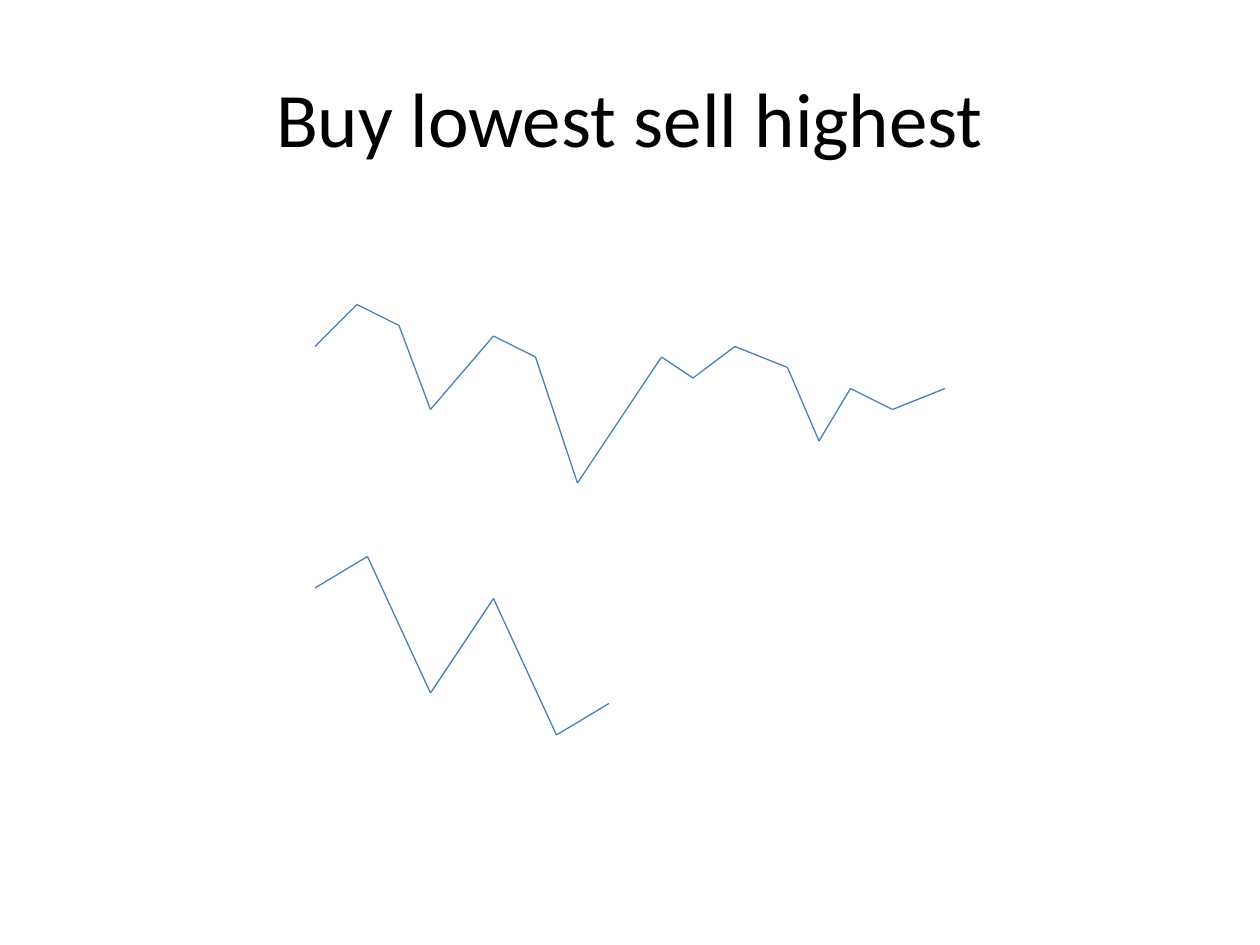
from itertools import pairwise

from lxml.etree import SubElement
from pptx import Presentation
from pptx.dml.color import RGBColor
from pptx.enum.shapes import MSO_CONNECTOR
from pptx.enum.text import MSO_ANCHOR, PP_ALIGN
from pptx.oxml.ns import qn
from pptx.util import Emu, Pt

PX = 9525  # EMU per px, 96 px to the inch
GRID = 8  # px between the grid points of the price lines
BLACK = RGBColor(0x00, 0x00, 0x00)
BLUE = RGBColor(0x4B, 0x7E, 0xBC)

# Prices over time, as (column, row) on the grid
LONG = [
    (30, 33), (34, 29), (38, 31), (41, 39), (47, 32),
    (51, 34), (55, 46), (63, 34), (66, 36), (70, 33),
    (75, 35), (78, 42), (81, 37), (85, 39), (90, 37),
]
SHORT = [(30, 56), (35, 53), (41, 66), (47, 57), (53, 70), (58, 67)]


def emu(px):
    return Emu(px * PX)


def write(frame, text, font="Calibri", size=44, color=BLACK,
          align=PP_ALIGN.CENTER, anchor=MSO_ANCHOR.MIDDLE):
    frame.word_wrap = True
    frame.vertical_anchor = anchor
    line = frame.paragraphs[0]
    line.alignment = align
    run = line.add_run()
    run.text = text
    run.font.name = font
    run.font.size = Pt(size)
    run.font.color.rgb = color


class Sketch:
    """Holds the current slide and the style of its lines."""

    def __init__(self, slide, color=BLUE, width=0.75):
        self.slide = slide
        self.color = color
        self.width = Pt(width)

    def title(self, text, left, top, width, height):
        shape = self.slide.shapes.title
        shape.left, shape.top = emu(left), emu(top)
        shape.width, shape.height = emu(width), emu(height)
        write(shape.text_frame, text)

    def line(self, start, end):
        ends = [emu(n * GRID) for n in (*start, *end)]
        line = self.slide.shapes.add_connector(MSO_CONNECTOR.STRAIGHT, *ends)
        line.line.color.rgb = self.color
        line.line.width = self.width
        SubElement(line._element.spPr, qn("a:effectLst"))

    def trend(self, points):
        """Join the points with one line per step."""
        for start, end in pairwise(points):
            self.line(start, end)


def main():
    deck = Presentation()
    deck.slide_width, deck.slide_height = emu(960), emu(720)
    sketch = Sketch(deck.slides.add_slide(deck.slide_layouts[5]))
    sketch.title("Buy lowest sell highest", 48, 29, 864, 120)
    for points in (LONG, SHORT):
        sketch.trend(points)
    deck.save("out.pptx")


if __name__ == "__main__":
    main()
